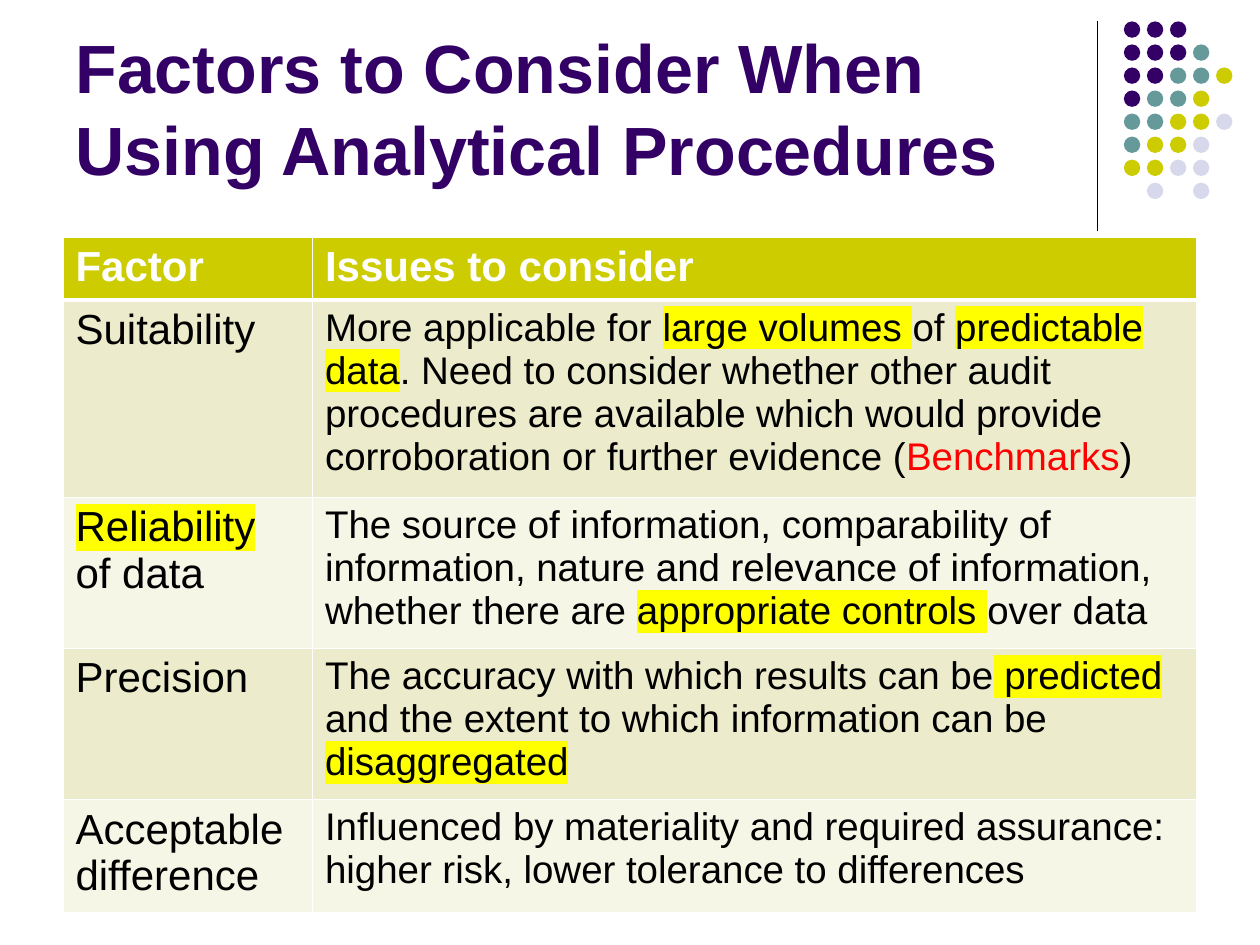
from lxml import etree
from pptx import Presentation
from pptx.dml.color import RGBColor
from pptx.enum.shapes import MSO_CONNECTOR, MSO_SHAPE
from pptx.enum.text import MSO_ANCHOR
from pptx.oxml.ns import qn
from pptx.util import Inches, Pt

PURPLE = RGBColor(0x33, 0x00, 0x66)
TEAL = RGBColor(0x66, 0x99, 0x99)
OLIVE = RGBColor(0xCC, 0xCC, 0x00)
LILAC = RGBColor(0xD8, 0xD8, 0xEC)
BLACK = RGBColor(0x00, 0x00, 0x00)
WHITE = RGBColor(0xFF, 0xFF, 0xFF)
RED = RGBColor(0xFF, 0x00, 0x00)
YELLOW = RGBColor(0xFF, 0xFF, 0x00)
BAND_DARK = RGBColor(0xEC, 0xEC, 0xCC)
BAND_LIGHT = RGBColor(0xF6, 0xF6, 0xE7)


def add_run(paragraph, text, size, color, bold=False, highlight=None):
    run = paragraph.add_run()
    run.text = text
    font = run.font
    font.size, font.bold, font.name = Pt(size), bold, "Arial"
    font.color.rgb = color
    if highlight is not None:
        mark = etree.Element(qn("a:highlight"))
        etree.SubElement(mark, qn("a:srgbClr"), val=str(highlight))
        run._r.rPr.find(qn("a:solidFill")).addnext(mark)


def set_borders(cell, bottom_width):
    properties = cell._tc.get_or_add_tcPr()
    widths = {"lnL": 1, "lnR": 1, "lnT": 1, "lnB": bottom_width}
    for index, (side, width) in enumerate(widths.items()):
        line = etree.Element(qn("a:" + side), w=str(Pt(width)))
        fill = etree.SubElement(line, qn("a:solidFill"))
        etree.SubElement(fill, qn("a:srgbClr"), val=str(WHITE))
        properties.insert(index, line)


prs = Presentation()
prs.slide_width, prs.slide_height = Inches(10), Inches(7.5)
slide = prs.slides.add_slide(prs.slide_layouts[6])

# Vertical rule
rule = slide.shapes.add_connector(
    MSO_CONNECTOR.STRAIGHT, Inches(8.71), Inches(0.17), Inches(8.71), Inches(1.83))
rule.line.color.rgb = BLACK
rule.line.width = Pt(0.75)
etree.SubElement(rule._element.spPr, qn("a:effectLst"))

# Dot pattern: one letter per dot, a space where there is none
DOT_COLORS = {"P": PURPLE, "T": TEAL, "O": OLIVE, "L": LILAC}
DOT_ROWS = ["PPP", "PPPT", "PPTTO", "PTTO", "TTOOL", "TOOL", "OOLL", " L L"]
DOT_SIZE, DOT_PITCH = 0.13, 1.28 / 7
for row, letters in enumerate(DOT_ROWS):
    for column, letter in enumerate(letters):
        if letter == " ":
            continue
        dot = slide.shapes.add_shape(
            MSO_SHAPE.OVAL,
            Inches(8.92 + column * DOT_PITCH), Inches(0.17 + row * DOT_PITCH),
            Inches(DOT_SIZE), Inches(DOT_SIZE))
        dot.shadow.inherit = False
        dot.fill.solid()
        dot.fill.fore_color.rgb = DOT_COLORS[letter]
        dot.line.fill.background()

# Title
title = slide.shapes.add_textbox(Inches(0.5), Inches(0.13), Inches(8.25), Inches(1.42))
title.text_frame.word_wrap = True
title.text_frame.vertical_anchor = MSO_ANCHOR.BOTTOM
heading = title.text_frame.paragraphs[0]
heading.line_spacing = Pt(47)
add_run(heading, "Factors to Consider When Using Analytical Procedures", 39, PURPLE, bold=True)

# Table: each cell is a list of (text, style) runs
PLAIN, MARKED, ALERT = (BLACK, None), (BLACK, YELLOW), (RED, None)
HEADER = (WHITE, None)
FACTORS = [
    ([("Factor", HEADER)], [("Issues to consider", HEADER)]),
    ([("Suitability", PLAIN)],
     [("More applicable for ", PLAIN), ("large volumes ", MARKED), ("of ", PLAIN),
      ("predictable data", MARKED),
      (". Need to consider whether other audit procedures are available which "
       "would provide corroboration or further evidence (", PLAIN),
      ("Benchmarks", ALERT), (")", PLAIN)]),
    ([("Reliability", MARKED), (" of data", PLAIN)],
     [("The source of information, comparability of information, nature and "
       "relevance of information, whether there are ", PLAIN),
      ("appropriate controls ", MARKED), ("over data", PLAIN)]),
    ([("Precision", PLAIN)],
     [("The accuracy with which results can be", PLAIN), (" predicted ", MARKED),
      ("and the extent to which information can be ", PLAIN),
      ("disaggregated", MARKED)]),
    ([("Acceptable difference", PLAIN)],
     [("Influenced by materiality and required assurance: higher risk, lower "
       "tolerance to differences", PLAIN)]),
]
# Rows start at a small minimum height and grow with their text
MIN_ROW_HEIGHT = 0.41
table = slide.shapes.add_table(
    len(FACTORS), 2, Inches(0.5), Inches(1.88), Inches(9),
    Inches(MIN_ROW_HEIGHT * len(FACTORS))).table
table.columns[0].width, table.columns[1].width = Inches(1.98), Inches(7.02)
for row, cells in enumerate(FACTORS):
    is_header = row == 0
    for column, runs in enumerate(cells):
        cell = table.cell(row, column)
        cell.fill.solid()
        cell.fill.fore_color.rgb = (
            OLIVE if is_header else BAND_DARK if row % 2 else BAND_LIGHT)
        set_borders(cell, 3 if is_header else 1)
        size = 24 if is_header or column == 0 else 22
        for text, (color, highlight) in runs:
            add_run(cell.text_frame.paragraphs[0], text, size, color, is_header, highlight)

prs.save("out.pptx")
